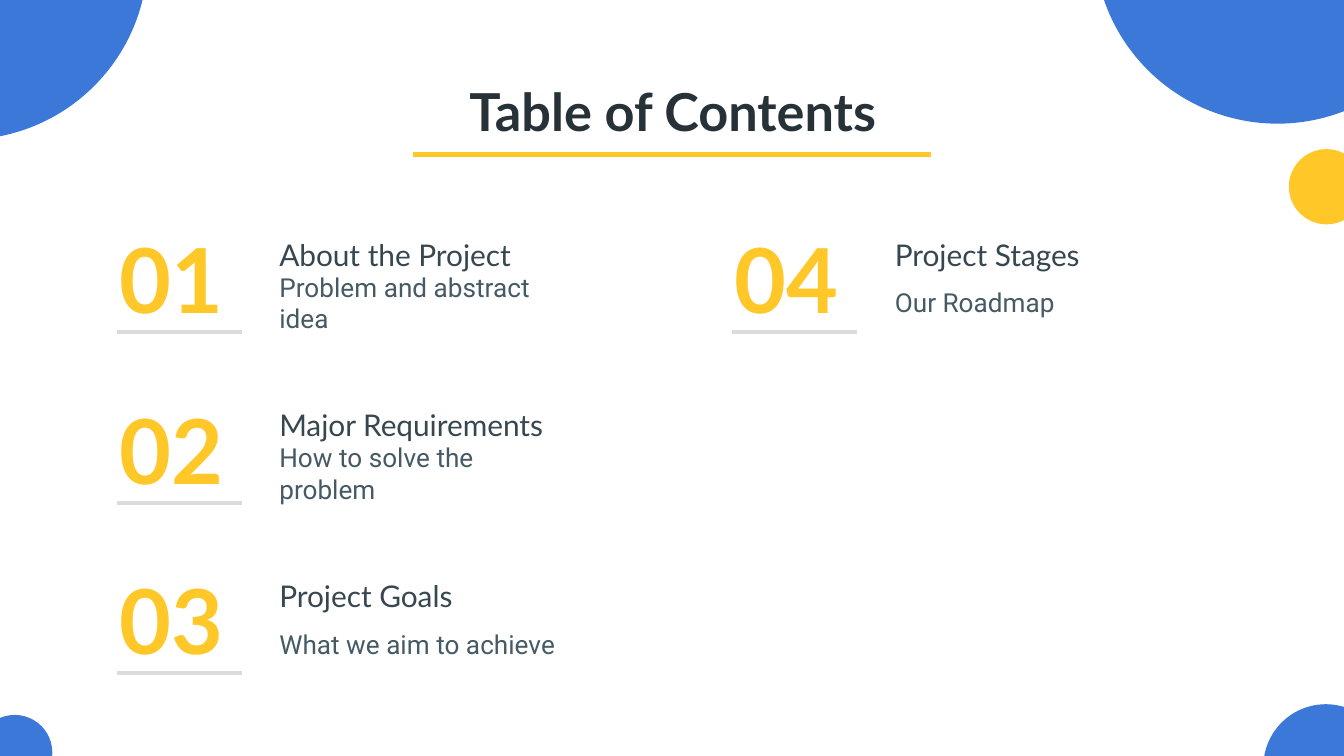
from dataclasses import dataclass

import lxml.etree
import pptx
import pptx.dml.color
import pptx.enum.shapes
import pptx.enum.text
import pptx.oxml.ns
import pptx.slide
import pptx.util

Inches = pptx.util.Inches
Align = pptx.enum.text.PP_ALIGN
Anchor = pptx.enum.text.MSO_ANCHOR


@dataclass(frozen=True)
class TextStyle:
    font: str
    size: int
    color: str
    bold: bool = False
    anchor: Anchor = Anchor.MIDDLE
    align: Align = Align.LEFT


@dataclass(frozen=True)
class Theme:
    background: str = "FFFFFF"
    blue: str = "3C78D8"
    yellow: str = "FFC727"
    rule: str = "DBDBDB"
    rule_width: float = 2.25
    title: TextStyle = TextStyle("Lato", 28, "263238", True, Anchor.TOP, Align.CENTER)
    number: TextStyle = TextStyle("Lato", 48, "FFC727", True)
    heading: TextStyle = TextStyle("Lato", 16, "37474F", anchor=Anchor.TOP)
    detail: TextStyle = TextStyle("Roboto", 14, "455A64")


@dataclass(frozen=True)
class Circle:
    left: float
    top: float
    diameter: float
    color: str


@dataclass(frozen=True)
class Entry:
    heading: str
    detail: str


THEME = Theme()
SLIDE_WIDTH = 10
SLIDE_HEIGHT = SLIDE_WIDTH * 9 / 16
ROWS = 3
LEFT, TOP = 0.79, 1.66
COLUMN_STEP, ROW_STEP = 4.58, 1.27

CIRCLES = [
    Circle(9.4, 5.24, 0.93, THEME.blue),
    Circle(8.14, -1.81, 2.73, THEME.blue),
    Circle(-1.63, -1.69, 2.73, THEME.blue),
    Circle(9.59, 1.11, 0.56, THEME.yellow),
    Circle(-0.17, 5.32, 0.56, THEME.blue),
]

ENTRIES = [
    Entry("About the Project", "Problem and abstract idea"),
    Entry("Major Requirements", "How to solve the problem"),
    Entry("Project Goals", "What we aim to achieve"),
    Entry("Project Stages", "Our Roadmap"),
]


def rgb(color: str) -> pptx.dml.color.RGBColor:
    return pptx.dml.color.RGBColor.from_string(color)


def add_circle(s: pptx.slide.Slide, circle: Circle) -> None:
    sp = s.shapes.add_shape(
        pptx.enum.shapes.MSO_SHAPE.OVAL,
        Inches(circle.left), Inches(circle.top),
        Inches(circle.diameter), Inches(circle.diameter),
    )
    sp.shadow.inherit = False
    sp.fill.solid()
    sp.fill.fore_color.rgb = rgb(circle.color)
    sp.line.fill.background()


def add_rule(s: pptx.slide.Slide, left: float, right: float, y: float, color: str) -> None:
    line = s.shapes.add_connector(
        pptx.enum.shapes.MSO_CONNECTOR.STRAIGHT,
        Inches(left), Inches(y), Inches(right), Inches(y),
    )
    line.line.color.rgb = rgb(color)
    line.line.width = pptx.util.Pt(THEME.rule_width)
    lxml.etree.SubElement(line._element.spPr, pptx.oxml.ns.qn("a:effectLst"))


def add_text(s: pptx.slide.Slide, text: str, left: float, top: float,
             width: float, height: float, style: TextStyle) -> None:
    sp = s.shapes.add_textbox(Inches(left), Inches(top), Inches(width), Inches(height))
    tf = sp.text_frame
    tf.word_wrap = True
    tf.vertical_anchor = style.anchor
    tf.margin_left = tf.margin_right = tf.margin_top = tf.margin_bottom = Inches(0.1)
    p = tf.paragraphs[0]
    p.text = text
    p.alignment = style.align
    r = p.runs[0]
    r.font.name = style.font
    r.font.size = pptx.util.Pt(style.size)
    r.font.bold = style.bold
    r.font.color.rgb = rgb(style.color)


def add_entry(s: pptx.slide.Slide, index: int, entry: Entry) -> None:
    column, row = divmod(index, ROWS)
    left = LEFT + column * COLUMN_STEP
    top = TOP + row * ROW_STEP
    add_rule(s, left + 0.08, left + 1.01, top + 0.81, THEME.rule)
    add_text(s, f"{index + 1:02d}", left, top, 1.17, 0.81, THEME.number)
    add_text(s, entry.heading, left + 1.19, top, 2.66, 0.44, THEME.heading)
    add_text(s, entry.detail, left + 1.19, top + 0.37, 2.31, 0.44, THEME.detail)


def main() -> None:
    prs = pptx.Presentation()
    prs.slide_width, prs.slide_height = Inches(SLIDE_WIDTH), Inches(SLIDE_HEIGHT)
    s = prs.slides.add_slide(prs.slide_layouts[6])
    s.background.fill.solid()
    s.background.fill.fore_color.rgb = rgb(THEME.background)

    for circle in CIRCLES:
        add_circle(s, circle)
    add_text(s, "Table of Contents", LEFT, 0.49, 8.43, 0.63, THEME.title)
    add_rule(s, 3.07, 6.93, 1.15, THEME.yellow)
    for index, entry in enumerate(ENTRIES):
        add_entry(s, index, entry)

    prs.save("out.pptx")


if __name__ == "__main__":
    main()
